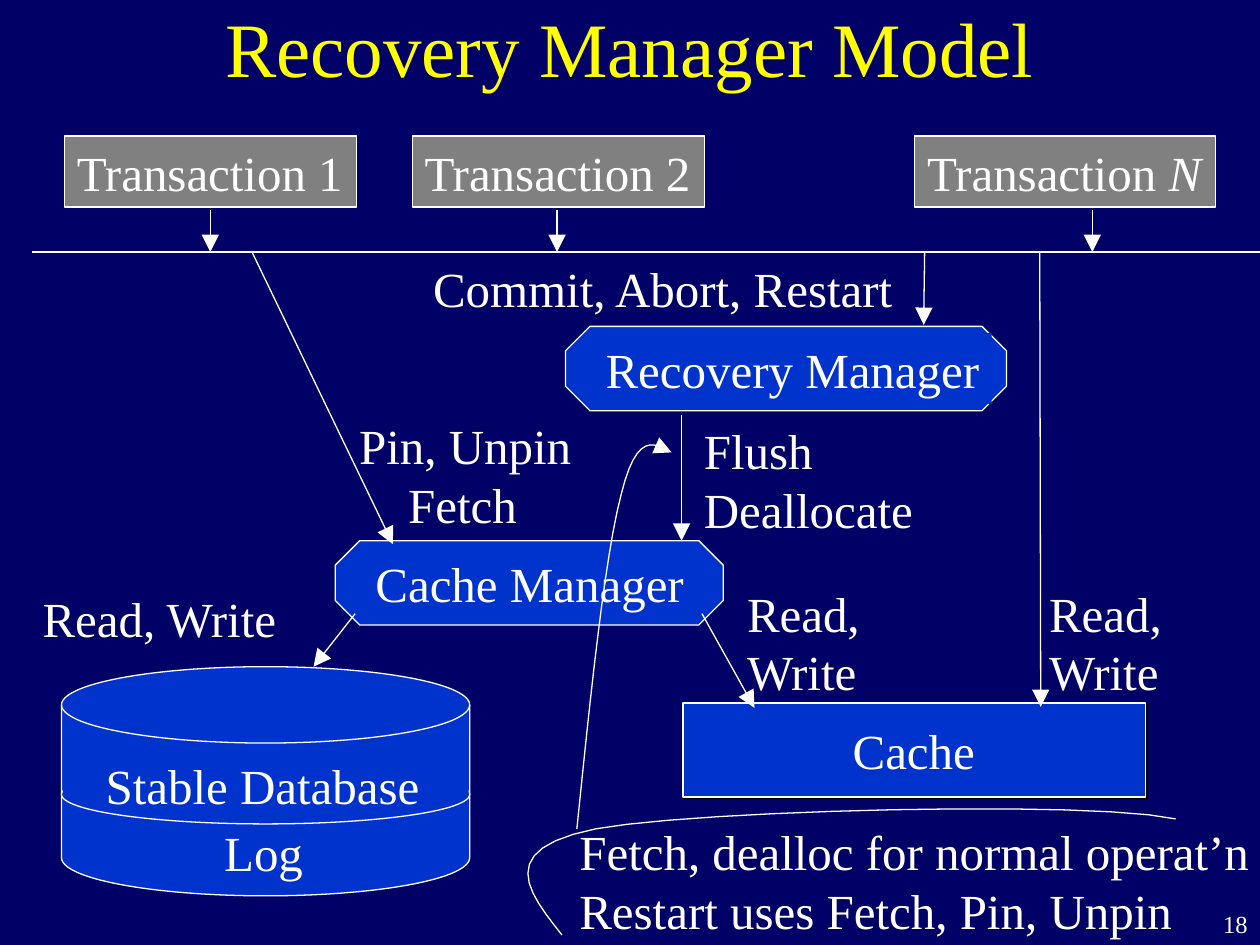
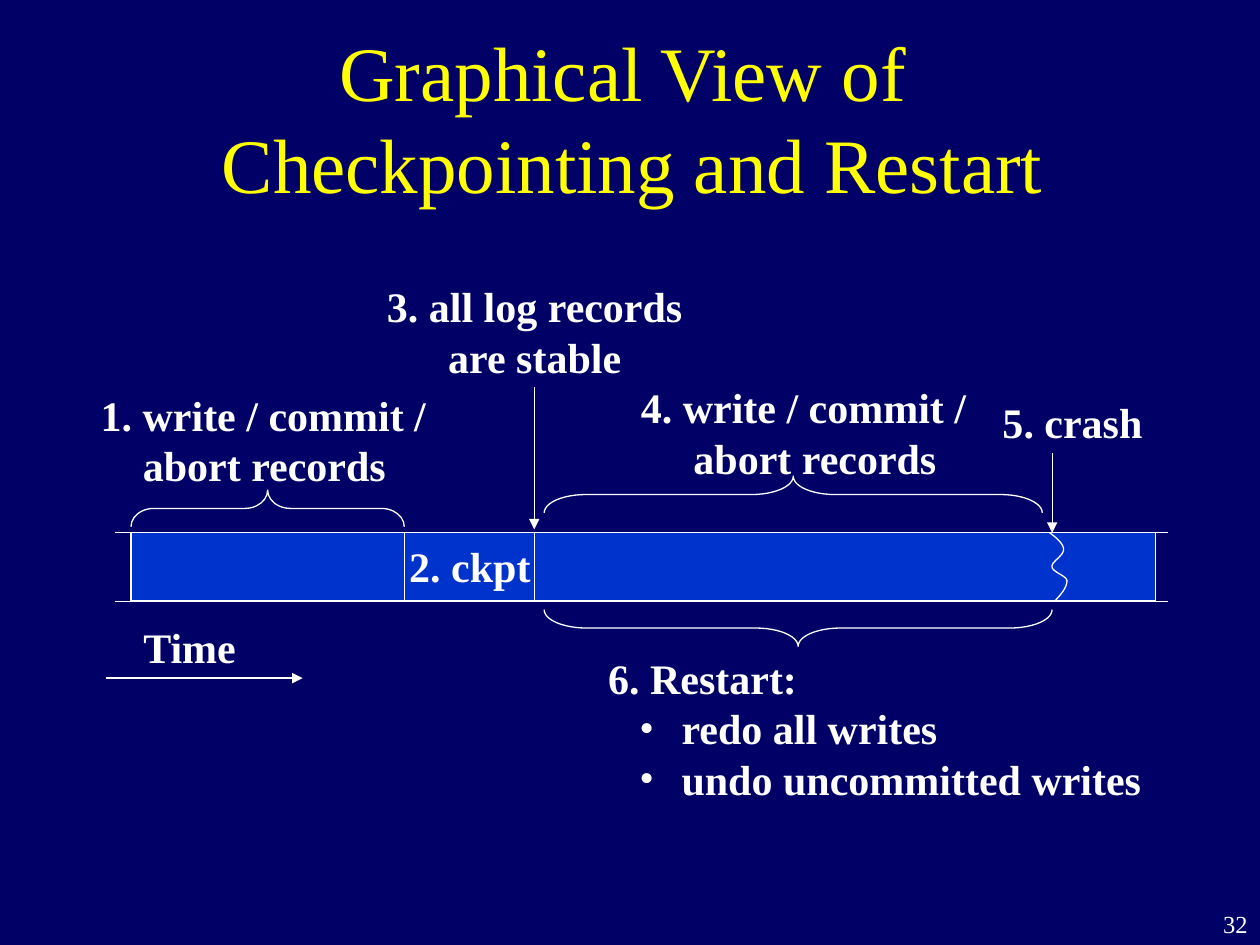
from lxml import etree
from pptx import Presentation
from pptx.dml.color import RGBColor
from pptx.enum import shapes, text
from pptx.oxml.ns import qn
from pptx.util import Cm, Pt

NAVY, BLUE, GREY, WHITE, YELLOW = "000066", "0033CC", "808080", "FFFFFF", "FFFF00"
FONT = "Times New Roman"
LEFT, CENTER, RIGHT = text.PP_ALIGN.LEFT, text.PP_ALIGN.CENTER, text.PP_ALIGN.RIGHT
FORM = shapes.MSO_SHAPE
colour = RGBColor.from_string


def add_box(page, left, top, width, height=None, lines=(), size=28, ink=WHITE, bold=False,
            align=LEFT, form=None, fill=None, border=None):
    """Add a text box, or the preset form; *stars* set italics, height defaults to the text's."""
    height = height or 0.25 + len(lines) * size * 1.2 * 2.54 / 72
    place = Cm(left), Cm(top), Cm(width), Cm(height)
    if form is None:
        box = page.shapes.add_textbox(*place)
    else:
        box = page.shapes.add_shape(form, *place)
        box.shadow.inherit = False
        if fill:
            box.fill.solid()
            box.fill.fore_color.rgb = colour(fill)
        else:
            box.fill.background()
        if border:
            box.line.color.rgb = colour(border)
            box.line.width = Pt(0.75)
        else:
            box.line.fill.background()
    frame = box.text_frame
    frame.word_wrap = True
    frame.vertical_anchor = text.MSO_ANCHOR.TOP
    # Boxes fit their words closely, so the side that the text grows towards has no inset
    if align != RIGHT:
        frame.margin_right = 0
    if align != LEFT:
        frame.margin_left = 0
    for row, line in enumerate(lines):
        para = frame.add_paragraph() if row else frame.paragraphs[0]
        para.alignment = align
        for part, words in enumerate(line.split("*")):
            if words:
                span = para.add_run()
                span.text = words
                span.font.name, span.font.size = FONT, Pt(size)
                span.font.bold, span.font.italic = bold, part % 2 == 1
                span.font.color.rgb = colour(ink)
    return box


def add_stroke(page, points, head=None, weight=0.75):
    """Join two points by a connector, or follow a chain of cubic curves; head is med or lg."""
    if len(points) == 2:
        ends = [Cm(value) for point in points for value in point]
        stroke = page.shapes.add_connector(shapes.MSO_CONNECTOR.STRAIGHT, *ends)
    else:
        track = []
        for first in range(0, len(points) - 1, 3):
            for step in range(1, 13):
                t = step / 12
                weights = (1 - t) ** 3, 3 * t * (1 - t) ** 2, 3 * t * t * (1 - t), t ** 3
                track.append([Cm(sum(w * point[axis] for w, point in
                                     zip(weights, points[first:first + 4])))
                              for axis in (0, 1)])
        outline = page.shapes.build_freeform(Cm(points[0][0]), Cm(points[0][1]), scale=1.0)
        outline.add_line_segments(track, close=False)
        stroke = outline.convert_to_shape()
        stroke.fill.background()
    stroke.line.color.rgb = colour(WHITE)
    stroke.line.width = Pt(weight)
    properties = stroke.element.spPr
    if head:
        etree.SubElement(properties.find(qn("a:ln")), qn("a:tailEnd"),
                         type="triangle", w=head, len=head)
    etree.SubElement(properties, qn("a:effectLst"))


deck = Presentation()
deck.slide_width, deck.slide_height = Cm(25.4), Cm(19.05)

# Background, title and page number
pages = []
for title, left, top, height, number in [
    (["Recovery Manager Model"], 1.9, 0, 1.9, "18"),
    (["Graphical View of ", "Checkpointing and Restart"], 1.96, 0.76, 3.18, "32"),
]:
    page = deck.slides.add_slide(deck.slide_layouts[6])
    page.background.fill.solid()
    page.background.fill.fore_color.rgb = colour(NAVY)
    heading = add_box(page, left, top, 21.59, height, title, 44, YELLOW, align=CENTER)
    heading.text_frame.vertical_anchor = text.MSO_ANCHOR.MIDDLE
    add_box(page, 23.06, 18.21, 2.34, 0.84, [number], 14, align=RIGHT)
    pages.append(page)
model, timeline = pages

# Slide 1: cache, managers and stable storage
cache = add_box(model, 13.77, 14.17, 9.32, 1.9, form=FORM.RECTANGLE, fill=BLUE, border=WHITE)
effects = cache.element.spPr.find(qn("a:effectLst"))
shadow = etree.SubElement(effects, qn("a:outerShdw"), dist=str(Pt(1.4)), dir="2700000",
                          algn="ctr", rotWithShape="0")
etree.SubElement(shadow, qn("a:srgbClr"), val="000000")

for name, left, top, width, label_width in [
    ("Recovery Manager", 11.4, 6.58, 8.89, 8.03),
    ("Cache Manager", 6.76, 10.9, 7.82, 6.71),
]:
    octagon = add_box(model, left, top, width, 1.7, form=FORM.OCTAGON, fill=BLUE, border=WHITE)
    octagon.adjustments[0] = 0.29
    add_box(model, left + 0.56, top + 0.13, label_width, lines=[name],
            form=FORM.RECTANGLE, fill=BLUE)

for form, left, top, width, height, border in [
    (FORM.FLOWCHART_MAGNETIC_DISK, 1.24, 13.44, 8.23, 4.62, WHITE),
    (FORM.OVAL, 1.24, 15.42, 8.23, 1.19, WHITE),
    (FORM.RECTANGLE, 1.27, 15.11, 8.18, 0.89, None),
]:
    add_box(model, left, top, width, height, form=form, fill=BLUE, border=border)

# Transactions and the calls they make
BUS = 5.08
for name, left, width, arrow_x in [
    ("Transaction 1", 1.3, 5.89, 4.24),
    ("Transaction 2", 8.31, 5.89, 11.23),
    ("Transaction *N*", 18.44, 6.07, 22.02),
]:
    add_box(model, left, 2.74, width, lines=[name], form=FORM.RECTANGLE, fill=GREY, border=WHITE)
    add_stroke(model, [(arrow_x, 4.24), (arrow_x, BUS)], "lg")
add_stroke(model, [(0.64, BUS), (25.4, BUS)])

for left, top, width, lines in [
    (1.88, 15.11, 6.83, ["Stable Database"]),
    (4.27, 16.46, 2.08, ["Log"]),
    (16.94, 14.4, 2.97, ["Cache"]),
    (0.61, 11.73, 5.26, ["Read, Write"]),
    (14.81, 11.63, 3.02, ["Read,", "Write"]),
    (20.9, 11.63, 3.02, ["Read,", "Write"]),
    (13.94, 8.36, 4.72, ["Flush", "Deallocate"]),
    (8.48, BUS, 9.8, ["Commit, Abort, Restart"]),
    (11.43, 16.43, 14, ["Fetch, dealloc for normal operat’n", "Restart uses Fetch, Pin, Unpin"]),
]:
    add_box(model, left, top, width, lines=lines)
pinning = add_box(model, 6.99, 8.26, 5.03, lines=["Pin, Unpin", "Fetch"])

for start, end in [
    ((7.16, 12.37), (6.32, 13.44)),
    ((14.15, 12.37), (15.21, 14.27)),
    ((5.08, BUS), (7.92, 10.97)),
    ((13.74, 8.36), (13.74, 10.9)),
    ((18.64, BUS), (18.62, 6.55)),
    ((20.96, BUS), (20.98, 14.25)),
]:
    add_stroke(model, [start, end], "lg")

note_pointer = [(11.63, 16.71), (11.91, 13.97), (12.19, 11.25), (12.52, 9.98),
                (12.83, 8.71), (13.18, 8.92), (13.54, 9.12)]
note_outline = [(11.33, 18.85), (10.64, 17.98), (9.96, 17.12), (12.01, 16.71),
                (14.07, 16.33), (22.02, 16.13), (23.7, 16.51)]
add_stroke(model, note_pointer, "lg")
add_stroke(model, note_outline)

# Slide 2: the log as a bar over time
BAR_TOP, BAR_BOTTOM = 10.74, 12.12
CKPT_START, CKPT_END, CRASH = 8.15, 10.77, 21.21
add_box(timeline, 2.64, BAR_TOP, 20.65, BAR_BOTTOM - BAR_TOP,
        form=FORM.RECTANGLE, fill=BLUE, border=WHITE)
for y in (BAR_TOP, BAR_BOTTOM):
    add_stroke(timeline, [(2.31, y), (23.55, y)])
for x in (CKPT_START, CKPT_END):
    add_stroke(timeline, [(x, BAR_TOP), (x, BAR_BOTTOM)])
crash_crack = [(21.16, BAR_TOP), (21.31, 10.85), (21.44, 10.97), (21.44, 11.07),
               (21.46, 11.2), (21.18, 11.33), (21.21, 11.43),
               (21.21, 11.53), (21.51, 11.61), (21.51, 11.71),
               (21.51, 11.84), (21.39, 11.99), (21.26, BAR_BOTTOM)]
add_stroke(timeline, crash_crack)

# A brace is a tall left brace turned about its centre
DEPTH = 0.74
for start, end, top, turn in [
    (2.64, CKPT_START, 9.88, 90),
    (10.97, 21.01, 9.6, 90),
    (10.97, CRASH, 12.29, 270),
]:
    length = end - start
    brace = add_box(timeline, (start + end - DEPTH) / 2, top + (DEPTH - length) / 2,
                    DEPTH, length, form=FORM.LEFT_BRACE, border=WHITE)
    brace.adjustments[0] = length / 12 / DEPTH
    brace.rotation = turn

add_stroke(timeline, [(2.13, 13.67), (6.1, 13.67)], "med", weight=1.5)
add_stroke(timeline, [(CKPT_END, 7.8), (CKPT_END, 10.67)], "med")
add_stroke(timeline, [(CRASH, 9.14), (CRASH, BAR_TOP)], "med")

steps = {}
for name, left, top, width, lines, align in [
    ("time", 2.64, 12.4, 2.39, ["Time"], LEFT),
    ("before", 1.78, 7.72, 7.26, ["1. write / commit /", "abort records"], LEFT),
    ("ckpt", 8, 10.77, 2.95, ["2. ckpt"], LEFT),
    ("stable", 7.54, 5.54, 6.48, ["3. all log records", "are stable"], CENTER),
    ("after", 12.67, 7.57, 7.26, ["4. write / commit /", "abort records"], LEFT),
    ("crash", 19.96, 7.87, 3.33, ["5. crash"], LEFT),
    ("restart", 12.01, 13.03, 11.56,
     ["6. Restart:", "redo all writes", "undo uncommitted writes"], LEFT),
]:
    steps[name] = add_box(timeline, left, top, width, lines=lines, size=24,
                          bold=True, align=align)

# Indented second lines and bullets
for box, margin, hanging in [
    (pinning, 0.99, 0),
    (steps["before"], 0.85, 0),
    (steps["after"], 1.06, 0),
    (steps["restart"], 1.48, 0.85),
]:
    for para in box.text_frame.paragraphs[1:]:
        settings = para._p.get_or_add_pPr()
        settings.set("marL", str(Cm(margin)))
        settings.set("indent", str(-Cm(hanging)))
        if hanging:
            etree.SubElement(settings, qn("a:buFont"), typeface=FONT)
            etree.SubElement(settings, qn("a:buChar"), char="•")

deck.save("out.pptx")
